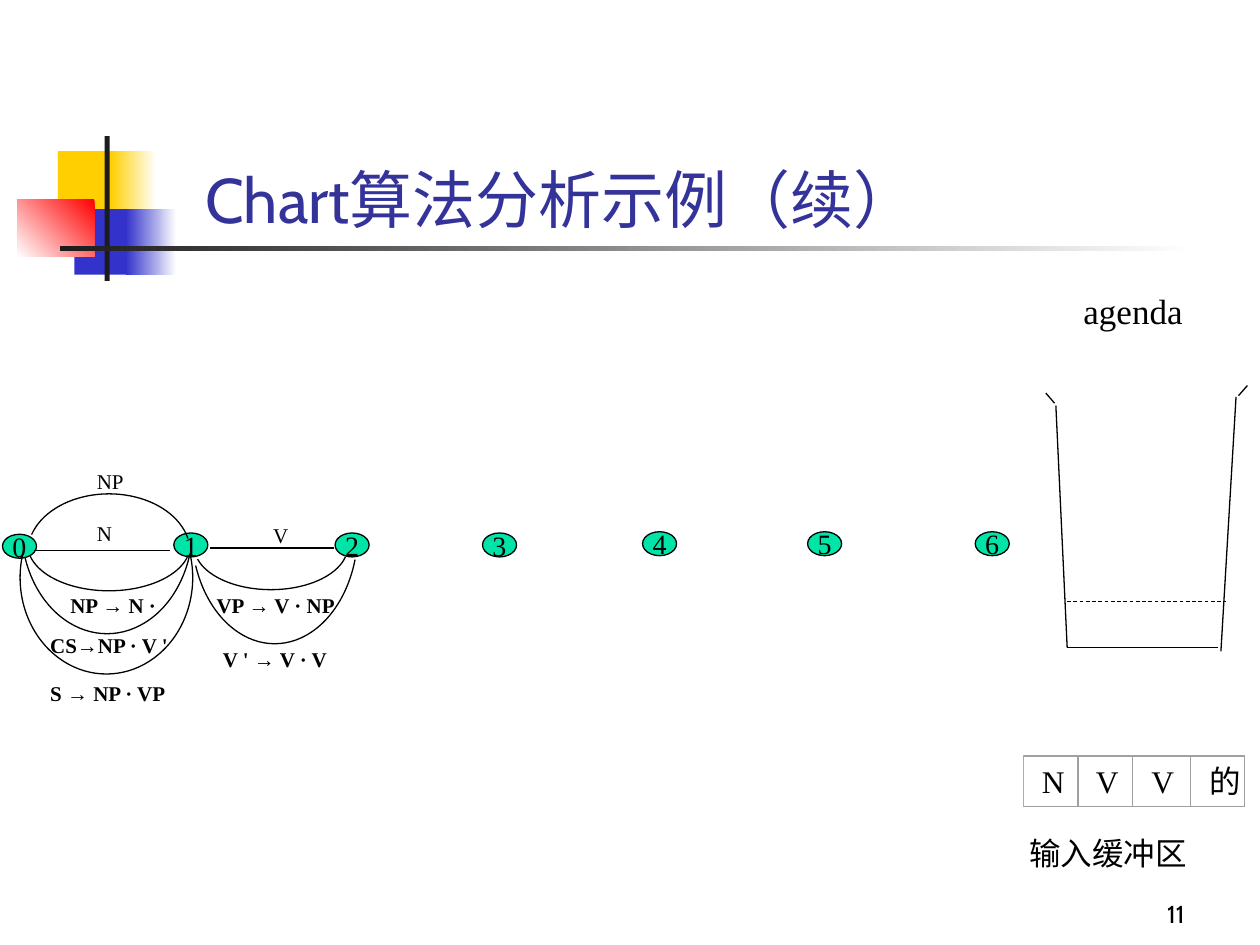
from dataclasses import dataclass

from lxml.etree import SubElement
from pptx import Presentation
from pptx.dml.color import RGBColor
from pptx.enum.dml import MSO_LINE
from pptx.enum.shapes import MSO_CONNECTOR, MSO_SHAPE
from pptx.enum.text import MSO_ANCHOR, PP_ALIGN
from pptx.oxml.ns import qn
from pptx.util import Inches, Pt


@dataclass(frozen=True)
class Theme:
    black: str = "000000"
    white: str = "FFFFFF"
    ink: str = "1C1C1C"
    title: str = "333399"
    yellow: str = "FFCF01"
    blue: str = "3333CC"
    red: str = "FF0000"
    node: str = "00E4A8"
    frame: str = "A0A0A0"
    heading_font: str = "Cabin"
    body_font: str = "Times New Roman"
    arrow_font: str = "Arial"
    title_size: int = 36
    agenda_size: int = 20
    buffer_size: int = 18
    node_size: int = 16
    number_size: int = 14
    edge_size: int = 12
    line_width: float = 0.75


THEME = Theme()


def rgb(value):
    return RGBColor.from_string(value)


def format_run(run, size, color=THEME.black, font=THEME.body_font, bold=False):
    run.font.size, run.font.name, run.font.bold = Pt(size), font, bold
    run.font.color.rgb = rgb(color)


def add_label(slide, left, top, width, height, text, size, color=THEME.black,
              font=THEME.body_font, align=PP_ALIGN.LEFT, anchor=MSO_ANCHOR.TOP, before=0):
    shape = slide.shapes.add_textbox(Inches(left), Inches(top), Inches(width), Inches(height))
    text_frame = shape.text_frame
    text_frame.word_wrap = True
    text_frame.vertical_anchor = anchor
    text_frame.text = text
    paragraph = text_frame.paragraphs[0]
    paragraph.alignment = align
    paragraph.space_before = Pt(before)
    format_run(paragraph.runs[0], size, color, font)


def add_rule_label(slide, left, top, width, before_arrow, after_arrow):
    """Bold grammar rule whose arrow has its own font."""
    shape = slide.shapes.add_textbox(Inches(left), Inches(top), Inches(width), Inches(0.3))
    shape.text_frame.word_wrap = True
    paragraph = shape.text_frame.paragraphs[0]
    paragraph.space_before = Pt(7.5)
    for text in (before_arrow, "→", after_arrow):
        run = paragraph.add_run()
        run.text = text
        font = THEME.arrow_font if text == "→" else THEME.body_font
        format_run(run, THEME.edge_size, font=font, bold=True)


def add_line(slide, start, end, width=THEME.line_width, dash=None):
    line = slide.shapes.add_connector(
        MSO_CONNECTOR.STRAIGHT, *(Inches(value) for value in (*start, *end)))
    line.line.color.rgb = rgb(THEME.black)
    line.line.width = Pt(width)
    if dash:
        line.line.dash_style = dash
    SubElement(line._element.spPr, qn("a:effectLst"))


def add_preset(slide, preset, left, top, width, height, fill=None, line=None,
               line_width=THEME.line_width):
    shape = slide.shapes.add_shape(preset, Inches(left), Inches(top),
                                   Inches(width), Inches(height))
    shape.shadow.inherit = False
    if fill:
        shape.fill.solid()
        shape.fill.fore_color.rgb = rgb(fill)
    else:
        shape.fill.background()
    if line:
        shape.line.color.rgb = rgb(line)
        shape.line.width = Pt(line_width)
    else:
        shape.line.fill.background()
    return shape


def draw_decoration(slide, left, top):
    # Each block: box, colours (two make a gradient), angle
    blocks = [
        ((0.32, 0.12, 0.48, 0.52), (THEME.yellow,), 0),
        ((0.74, 0.12, 0.36, 0.52), (THEME.white, THEME.yellow), 180),
        ((0.45, 0.58, 0.46, 0.52), (THEME.blue,), 0),
        ((0.86, 0.58, 0.40, 0.52), (THEME.white, THEME.blue), 180),
        ((0, 0.5, 0.61, 0.46), (THEME.red, THEME.white), 225),
        ((0.69, 0, 0.04, 1.15), (THEME.ink,), 0),
        ((0.34, 0.87, 9, 0.04), (THEME.white, THEME.ink), 180),
    ]
    for (x, y, width, height), colors, angle in blocks:
        shape = add_preset(slide, MSO_SHAPE.RECTANGLE, left + x, top + y, width, height,
                           fill=colors[0])
        if len(colors) == 2:
            shape.fill.gradient()
            shape.fill.gradient_angle = angle
            for stop, color in zip(shape.fill.gradient_stops, colors):
                stop.color.rgb = rgb(color)


def draw_nodes(slide, left, top):
    places = [(0.02, 0.74), (1.38, 0.73), (2.66, 0.73), (3.83, 0.73),
              (5.1, 0.72), (6.41, 0.72), (7.74, 0.72)]
    for number, (x, y) in enumerate(places):
        node = add_preset(slide, MSO_SHAPE.OVAL, left + x, top + y, 0.27, 0.19,
                          THEME.node, THEME.black)
        node.text_frame.word_wrap = False
        node.text_frame.vertical_anchor = MSO_ANCHOR.MIDDLE
        node.text_frame.text = str(number)
        paragraph = node.text_frame.paragraphs[0]
        paragraph.alignment = PP_ALIGN.CENTER
        format_run(paragraph.runs[0], THEME.node_size)


def draw_edges(slide, left, top):
    # Straight edges
    for start, end, y in ((0.27, 1.35, 0.87), (1.67, 2.65, 0.85)):
        add_line(slide, (left + start, top + y), (left + end, top + y))
    # Curved edges: box of the whole ellipse, then clockwise start and end in degrees
    arcs = [
        ((0.22, 0.46, 1.29, 0.73), 9, 172),
        ((0.17, -0.17, 1.36, 1.7), 18, 159),
        ((0.16, 0.32, 1.37, 1.53), 346, 198),
        ((0.22, 0.42, 1.29, 0.93), 193, 350),
        ((1.54, 0.49, 1.22, 0.69), 8, 170),
        ((1.52, -0.19, 1.32, 1.8), 20, 156),
    ]
    for (x, y, width, height), start, end in arcs:
        arc = add_preset(slide, MSO_SHAPE.ARC, left + x, top + y, width, height,
                         line=THEME.black)
        # Adjustments count 100000 units, a degree has 60000
        arc.adjustments[0], arc.adjustments[1] = start * 0.6, end * 0.6
    # Edge labels
    for x, y, width, text in ((0.67, 0.58, 0.33, "N"), (0.67, 0.17, 0.48, "NP"),
                              (2.07, 0.6, 0.33, "V")):
        add_label(slide, left + x, top + y, width, 0.3, text, THEME.edge_size, before=7.5)
    rules = [(0.46, 1.15, 1.04, "NP ", " N ·"), (0.3, 1.47, 1.2, "CS", "NP · V '"),
             (0.3, 1.85, 1.2, "S ", " NP · VP"), (1.62, 1.15, 1.15, "VP ", " V · NP"),
             (1.67, 1.58, 1.15, "V ' ", " V · V")]
    for x, y, width, before_arrow, after_arrow in rules:
        add_rule_label(slide, left + x, top + y, width, before_arrow, after_arrow)


def draw_agenda(slide, left, top):
    add_label(slide, left + 0.2, top, 1.25, 0.44, "agenda", THEME.agenda_size, before=12.5)
    # Container: base, sides and rim
    for x1, y1, x2, y2 in ((0.17, 2.89, 1.37, 2.89), (0.08, 0.97, 0.17, 2.89),
                           (1.51, 0.9, 1.39, 2.92), (0, 0.87, 0.07, 0.95),
                           (1.6, 0.81, 1.53, 0.89)):
        add_line(slide, (left + x1, top + y1), (left + x2, top + y2))
    add_line(slide, (left + 0.17, top + 2.52), (left + 1.43, top + 2.52),
             width=0.5, dash=MSO_LINE.DASH)


def draw_buffer(slide, left, top, width, height):
    # Cells: offset, width, text offset, text width
    cells = [("N", 0.8, 0.44, 0.85, 0.33), ("V", 1.23, 0.44, 1.28, 0.33),
             ("V", 1.67, 0.46, 1.72, 0.35), ("的", 2.13, 0.43, 2.18, 0.33)]
    for text, x, cell_width, text_x, text_width in cells:
        add_label(slide, left + text_x, top, text_width, height, text, THEME.buffer_size,
                  align=PP_ALIGN.JUSTIFY)
        add_preset(slide, MSO_SHAPE.RECTANGLE, left + x, top, cell_width, height,
                   line=THEME.frame, line_width=0)
    add_preset(slide, MSO_SHAPE.RECTANGLE, left, top, width, height, line=THEME.frame)
    # White blocks leave the consumed end of the buffer open
    for x, y, block_width, block_height in ((-0.15, -0.17, 0.53, 0.73), (0.3, -0.05, 0.5, 0.5)):
        add_preset(slide, MSO_SHAPE.RECTANGLE, left + x, top + y, block_width, block_height,
                   fill=THEME.white)
    add_label(slide, left + 0.75, top + 0.57, 1.67, 0.4, "输入缓冲区",
              THEME.buffer_size, before=11.2)


def main():
    presentation = Presentation()
    presentation.slide_width, presentation.slide_height = Inches(10), Inches(7.5)
    slide = presentation.slides.add_slide(presentation.slide_layouts[6])
    draw_decoration(slide, 0.14, 1.08)
    add_label(slide, 1.53, 1.07, 7.63, 0.85, "Chart算法分析示例（续）", THEME.title_size,
              THEME.title, THEME.heading_font, anchor=MSO_ANCHOR.BOTTOM)
    draw_nodes(slide, 0, 3.5)
    draw_agenda(slide, 8.3, 2.25)
    draw_buffer(slide, 7.32, 6, 2.56, 0.4)
    draw_edges(slide, 0, 3.5)
    add_label(slide, 7.42, 6.92, 2.08, 0.5, "11", THEME.number_size, font=THEME.heading_font,
              align=PP_ALIGN.RIGHT, anchor=MSO_ANCHOR.BOTTOM)
    presentation.save("out.pptx")


if __name__ == "__main__":
    main()
